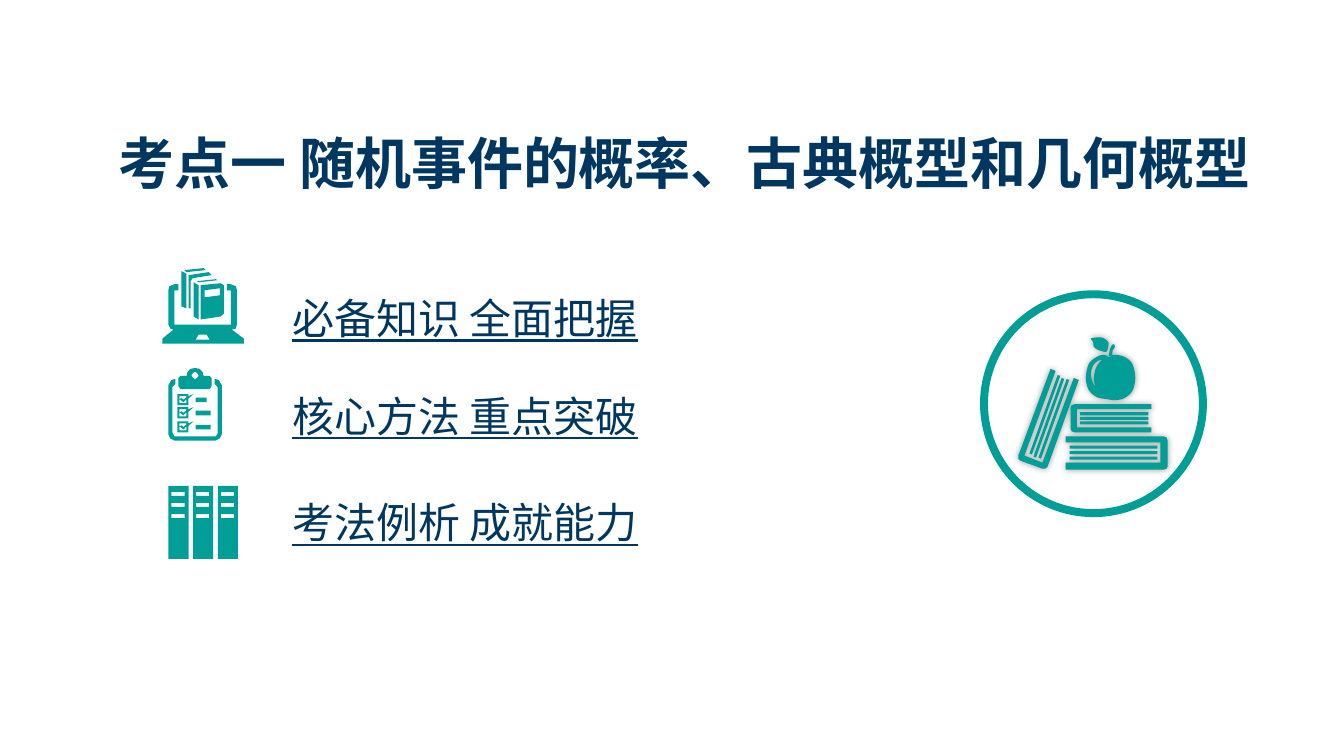
from dataclasses import dataclass
from lxml import etree
from pptx import Presentation, util as u
from pptx.dml.color import RGBColor
from pptx.enum import shapes, text
from pptx.oxml import ns


@dataclass(frozen=True)
class Theme:
    teal: RGBColor = RGBColor(0x00, 0x9E, 0x96)
    navy: RGBColor = RGBColor(0x00, 0x37, 0x60)
    head: str = "Arial"
    body: str = "Noto Sans CJK SC"
    big: int = 40
    mid: int = 30


THEME = Theme()


# Icon outlines are lists of points in hundredths of an inch.
def box(x, y, w, h):
    return [(x, y), (x + w, y), (x + w, y + h), (x, y + h)]


def curve(pts, steps=6):
    """Closed smooth outline (Catmull-Rom) through the points."""
    out = []
    for i in range(len(pts)):
        ends = [pts[(i + k) % len(pts)] for k in (-1, 0, 1, 2)]
        for s in range(steps):
            t = s / steps
            out.append(tuple(
                b + (c - a) * t / 2 + (2 * a - 5 * b + 4 * c - d) * t**2 / 2
                + (3 * b - a - 3 * c + d) * t**3 / 2
                for a, b, c, d in zip(*ends)))
    return out


def laptop():
    return [
        [(12, 22), (16, 22), (16, 16), (12, 16), (7, 18), (6, 22), (6, 56),
         (8, 60), (11, 61), (0, 70), (0, 75), (81, 75), (81, 70), (69, 61),
         (73, 60), (74, 56), (74, 22), (73, 18), (68, 16), (64, 16),
         (64, 22), (68, 22), (68, 56), (12, 56)],
        [(36, 66), (44, 66), (47, 71), (33, 71)],
        [(22, 2), (24, 4), (43, 2), (41, 0)],
        [(19, 3), (24, 5.5), (24, 40), (19, 38)],
        [(26, 7), (46, 4), (49, 7), (30, 10), (28, 13), (28, 40), (26, 40)],
        [(34, 13), (37, 14), (55, 12), (53, 11)],
        [(31, 14), (36, 17), (36, 51), (31, 48)],
        [(38, 17), (58, 15), (61, 17), (61, 45), (58, 48), (38, 51)],
        [(42, 22), (57, 20), (57, 27), (42, 29)],
    ]


def clipboard():
    parts = [
        [(7, 11), (3, 12), (0, 17), (0, 66), (2, 70), (6, 72), (47, 72),
         (51, 70), (53, 66), (53, 17), (50, 12), (46, 11), (46, 16), (49, 19),
         (49, 65), (47, 68), (6, 68), (4, 64), (4, 19), (7, 16)],
        [(12, 8), (18, 8), (19, 4), (22, 1), (26.5, 0), (31, 1), (34, 4),
         (35, 8), (41, 8), (43, 10), (43, 18), (41, 21), (12, 21), (10, 18),
         (10, 10)],
        curve([(26.5, 4), (30, 7.5), (26.5, 11), (23, 7.5)]),
    ]
    for y, wide in ((26, 11), (39, 15), (53, 15)):
        parts += [
            box(9, y, 11, 11), box(11, y + 2, 7, 7),
            [(11, y + 5), (13, y + 4), (15, y + 5.5), (18, y + 3),
             (18, y + 5), (15, y + 8)],
            [(20, y + 2), (25, y), (20, y + 4.5)],
            box(27, y + 3.5, wide, 4.5),
        ]
    return parts


def folders():
    parts = []
    for x in (0, 24.5, 49):
        parts.append(box(x, 0, 20, 72.5))
        parts += [box(x + 3, y, 13, 4) for y in (6, 17, 28)]
    return parts


def books():
    parts = [
        [(47, 98), (144, 98), (147, 99), (148, 102), (148, 128), (147, 130),
         (144, 131), (47, 131), (47, 124), (141, 124), (141, 104), (47, 104)],
        [(132, 66), (56, 66), (53, 67), (52, 69), (52, 91), (53, 93),
         (56, 94), (132, 94), (132, 89), (58, 89), (58, 71), (132, 71)],
        [(6, 117), (24, 124), (55, 40), (60, 42), (29, 128), (27, 130),
         (24, 130), (2, 122), (0, 120), (0, 117), (32, 31), (37, 33)],
        curve([(90, 19), (95, 17), (105, 19), (113, 26), (116, 40),
               (113, 53), (105, 60), (96, 62), (88, 61), (78, 59), (70, 52),
               (67, 40), (70, 26), (78, 19), (85, 17)]),
        curve([(85, 22), (79, 23), (74, 28), (72, 37), (74, 45), (76, 48),
               (75, 40), (77, 30), (82, 23)]),
        [(89.5, 18), (91, 11), (93, 7), (95, 6.5), (96, 9), (93.5, 13),
         (93, 18)],
        curve([(72, 1), (76, 0), (83, 0), (89, 4), (89, 9), (87, 14),
               (79, 12), (75, 9), (74, 4)]),
    ]
    parts += [box(61, y, 68, 3) for y in (74, 78.5, 83)]
    parts += [box(51, y, 87, 3) for y in (107, 112.5, 118)]
    for x, y in ((39, 37), (43, 40), (48, 41)):
        parts.append([(x, y), (x - 28, y + 78), (x - 25.5, y + 79),
                      (x + 2.5, y + 1)])
    return parts


def paint(shape):
    shape.shadow.inherit = False
    shape.fill.solid()
    shape.fill.fore_color.rgb = THEME.teal
    shape.line.fill.background()
    return shape


def icon(slide, left, top, parts):
    """Draw all outlines as one shape; inner ones become holes."""
    pen = None
    for part in parts:
        pts = [(u.Inches(x / 100), u.Inches(y / 100)) for x, y in part]
        if pen is None:
            pen = slide.shapes.build_freeform(*pts[0])
        else:
            pen.move_to(*pts[0])
        pen.add_line_segments(pts[1:], close=True)
    return paint(pen.convert_to_shape(u.Inches(left), u.Inches(top)))


def glow(shape):
    """Give the shape a soft shadow on all sides."""
    effects = shape._element.spPr.find(ns.qn("a:effectLst"))
    shade = etree.SubElement(effects, ns.qn("a:outerShdw"),
                             blurRad=str(u.Pt(5)), dist="0", dir="0")
    color = etree.SubElement(shade, ns.qn("a:srgbClr"), val="000000")
    etree.SubElement(color, ns.qn("a:alpha"), val="40000")


def label(slide, area, words, face, size, wrap=False):
    frame = slide.shapes.add_textbox(*map(u.Inches, area)).text_frame
    frame.word_wrap = wrap
    frame.auto_size = text.MSO_AUTO_SIZE.SHAPE_TO_FIT_TEXT
    para = frame.paragraphs[0]
    para.text = words
    para.font.name = face
    para.font.size = u.Pt(size)
    para.font.color.rgb = THEME.navy
    return para


def title(slide, area):
    para = label(slide, area, "考点一 随机事件的概率、古典概型和几何概型",
                 THEME.head, THEME.big, wrap=True)
    para.alignment = text.PP_ALIGN.CENTER
    para.font.bold = True


def agenda(slide, left, top):
    rows = [
        ("必备知识 全面把握", 0.19, laptop, 0, 0),
        ("核心方法 重点突破", 1.16, clipboard, 0.06, 0.99),
        ("考法例析 成就能力", 2.22, folders, 0.06, 2.16),
    ]
    for words, drop, draw, dx, dy in rows:
        para = label(slide, (left + 1.19, top + drop, 3.69, 0.61), words,
                     THEME.body, THEME.mid)
        para.font.underline = True
        icon(slide, left + dx, top + dy, draw())


def badge(slide, left, top, size):
    ring = slide.shapes.add_shape(
        shapes.MSO_SHAPE.DONUT, *map(u.Inches, (left, top, size, size)))
    ring.adjustments[0] = 0.035
    paint(ring)
    glow(icon(slide, left + 0.38, top + 0.47, books()))


def main():
    deck = Presentation()
    deck.slide_width, deck.slide_height = u.Inches(13.33), u.Inches(7.5)
    slide = deck.slides.add_slide(deck.slide_layouts[6])
    title(slide, (0.52, 1.23, 12.54, 0.77))
    agenda(slide, 1.61, 2.66)
    badge(slide, 9.72, 2.88, 2.25)
    deck.save("out.pptx")


if __name__ == "__main__":
    main()
